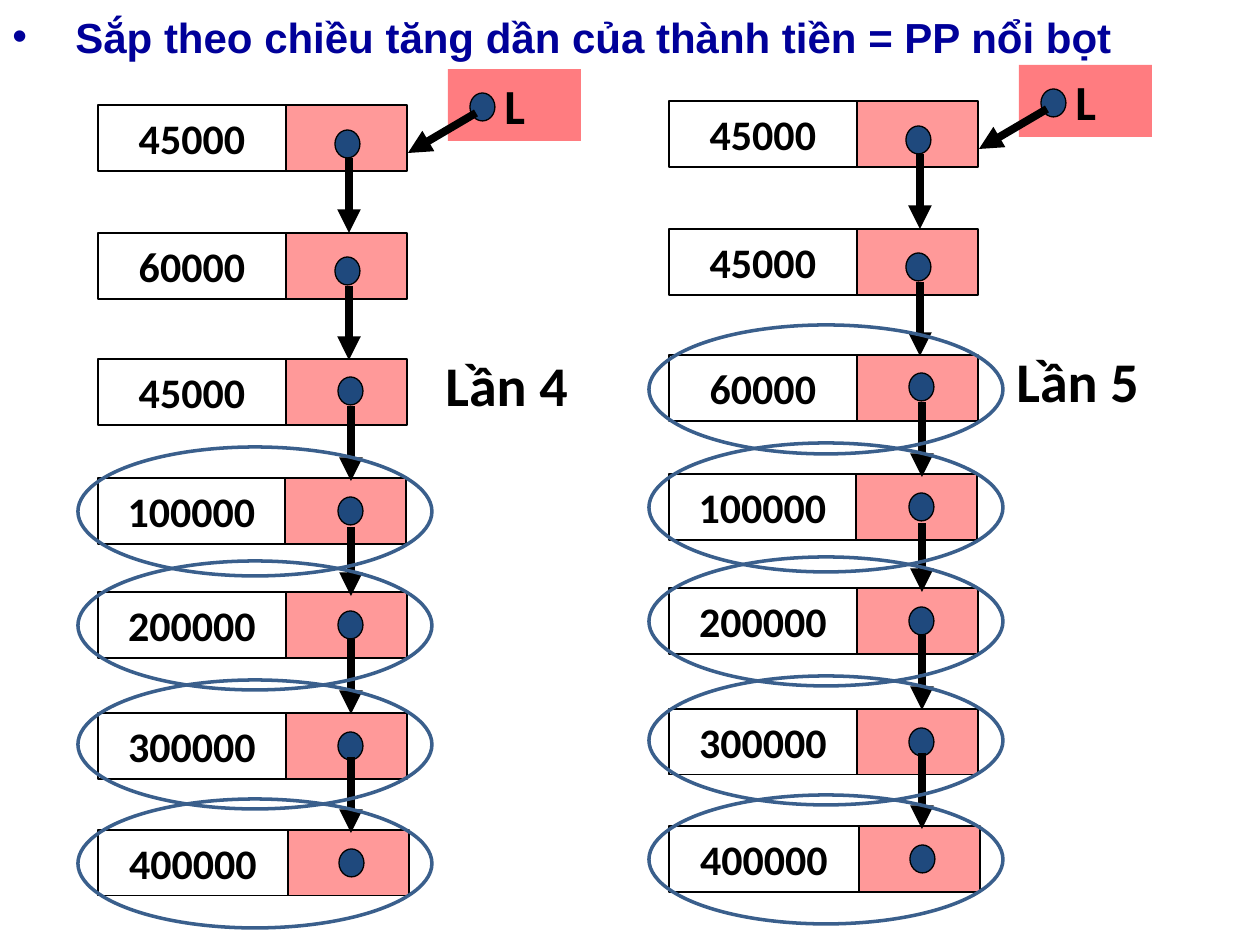
import pptx
import pptx.dml.color
import pptx.enum.shapes
import pptx.enum.text
import pptx.oxml
import pptx.oxml.ns
import pptx.util

SCALE = 914400 // 126
SHAPES = pptx.enum.shapes.MSO_SHAPE
ALIGN = pptx.enum.text.PP_ALIGN
ANCHOR = pptx.enum.text.MSO_ANCHOR

BLACK, DOT_BLUE, RING_BLUE = "000000", "1F497D", "3A5F8C"
NODE_LEFT, NODE_WIDTH, NODE_HEIGHT = 98, 309, 66
DOT_WIDTH, DOT_HEIGHT = 25, 28

# Node top, split between value and pointer, dot left, dot top
NODES = [
    (105, 188, 335, 130), (233, 188, 335, 257), (359, 188, 338, 377),
    (478, 187, 338, 497), (592, 188, 338, 611), (713, 188, 338, 732),
    (830, 190, 339, 849),
]
# Arrow x, start, end
LINKS = [
    (349, 158, 233), (349, 286, 360), (351, 406, 481),
    (351, 527, 596), (351, 639, 714), (351, 757, 833),
]
RING_TOPS = [329, 447, 561, 680, 799]
LARGEST = ["100000", "200000", "300000", "400000"]
# Pass label, values, number of sorted nodes, shift right, shift down
PASSES = [
    ("Lần 4", ["45000", "60000", "45000"] + LARGEST, 4, 0, 0),
    ("Lần 5", ["45000", "45000", "60000"] + LARGEST, 5, 571, -4),
]


def px(*lengths):
    return [pptx.util.Emu(round(length * SCALE)) for length in lengths]


def color(hex_string):
    return pptx.dml.color.RGBColor.from_string(hex_string)


def add_xml(parent, tag, **attributes):
    element = pptx.oxml.ns.qn(tag)
    child = parent.makeelement(element, attributes)
    parent.append(child)
    return child


def write(shape, text, size, font="Calibri", ink=BLACK, align=ALIGN.LEFT,
          **frame_format):
    frame = shape.text_frame
    for name, value in {"word_wrap": True, **frame_format}.items():
        setattr(frame, name, value)
    paragraph = frame.paragraphs[0]
    paragraph.alignment = align
    run = paragraph.add_run()
    run.text = text
    letter_format = {"size": pptx.util.Pt(size), "name": font, "bold": True}
    for name, value in letter_format.items():
        setattr(run.font, name, value)
    run.font.color.rgb = color(ink)
    return paragraph


def indent(paragraph, left, first=0):
    properties = paragraph._p.get_or_add_pPr()
    for name, length in {"marL": left, "indent": first}.items():
        properties.set(name, str(px(length)[0]))
    return properties


def add_figure(slide, kind, box, fill=None, alpha=None, line=None, weight=0.75):
    figure = slide.shapes.add_shape(kind, *px(*box))
    figure.shadow.inherit = False
    if fill:
        figure.fill.solid()
        figure.fill.fore_color.rgb = color(fill)
    else:
        figure.fill.background()
    if alpha:
        tint = figure._element.spPr.find(".//" + pptx.oxml.ns.qn("a:srgbClr"))
        add_xml(tint, "a:alpha", val=str(alpha * 1000))
    if line:
        figure.line.color.rgb = color(line)
        figure.line.width = pptx.util.Pt(weight)
    else:
        figure.line.fill.background()
    return figure


def add_dot(slide, left, top):
    add_figure(slide, SHAPES.OVAL, (left, top, DOT_WIDTH, DOT_HEIGHT),
               DOT_BLUE, line=BLACK)


def add_arrow(slide, start, end):
    arrow = slide.shapes.add_connector(
        pptx.enum.shapes.MSO_CONNECTOR.STRAIGHT, *px(*start, *end))
    arrow.line.color.rgb = color(BLACK)
    arrow.line.width = pptx.util.Pt(4.5)
    add_xml(arrow.line._get_or_add_ln(), "a:tailEnd", type="triangle")
    add_xml(arrow._element.spPr, "a:effectLst")


def add_node(slide, value, left, top, split):
    value_cell = add_figure(slide, SHAPES.RECTANGLE,
                            (left, top, split, NODE_HEIGHT),
                            "FFFFFF", 38, BLACK)
    write(value_cell, value, 24, align=ALIGN.CENTER,
          vertical_anchor=ANCHOR.MIDDLE)
    add_figure(slide, SHAPES.RECTANGLE,
               (left + split, top, 121, NODE_HEIGHT), "FF0000", 40, BLACK)


def add_head(slide, dx, dy):
    head = add_figure(slide, SHAPES.RECTANGLE,
                      (448 + dx, 69 + dy, 133, 72), "FF7C80")
    indent(write(head, "L", 28, vertical_anchor=ANCHOR.TOP), 44)
    add_dot(slide, 470 + dx, 93 + dy)
    add_arrow(slide, (476 + dx, 113 + dy), (408 + dx, 153 + dy))


def add_pass(slide, label, values, sorted_count, dx, dy):
    # Pass label
    caption = slide.shapes.add_textbox(*px(433 + dx, 344 + dy, 155, 81))
    write(caption, label, 32)

    # Linked list
    for value, (top, split, dot_left, dot_top) in zip(values, NODES):
        add_node(slide, value, NODE_LEFT + dx, top + dy, split)
        add_dot(slide, dot_left + dx, dot_top + dy)
    for x, start, end in LINKS:
        add_arrow(slide, (x + dx, start + dy), (x + dx, end + dy))
    add_head(slide, dx, dy)

    # Rings around the nodes already in place
    for top in RING_TOPS[-sorted_count:]:
        add_figure(slide, SHAPES.OVAL, (78 + dx, top + dy, 354, 129),
                   line=RING_BLUE, weight=2)


def add_title(slide):
    title = slide.shapes.add_textbox(*px(0, 0, 1160, 79))
    paragraph = write(title, "Sắp theo chiều tăng dần của thành tiền = PP nổi bọt",
                      24, "Arial", "000099", ALIGN.JUSTIFY,
                      margin_top=px(11)[0])
    properties = indent(paragraph, 63, -63)
    add_xml(properties, "a:buFont", typeface="Arial")
    add_xml(properties, "a:buChar", char="•")


def main():
    deck = pptx.Presentation()
    deck.slide_width, deck.slide_height = px(1260, 945)
    slide = deck.slides.add_slide(deck.slide_layouts[6])
    add_title(slide)
    for sorting_pass in PASSES:
        add_pass(slide, *sorting_pass)
    deck.save("out.pptx")


main()
